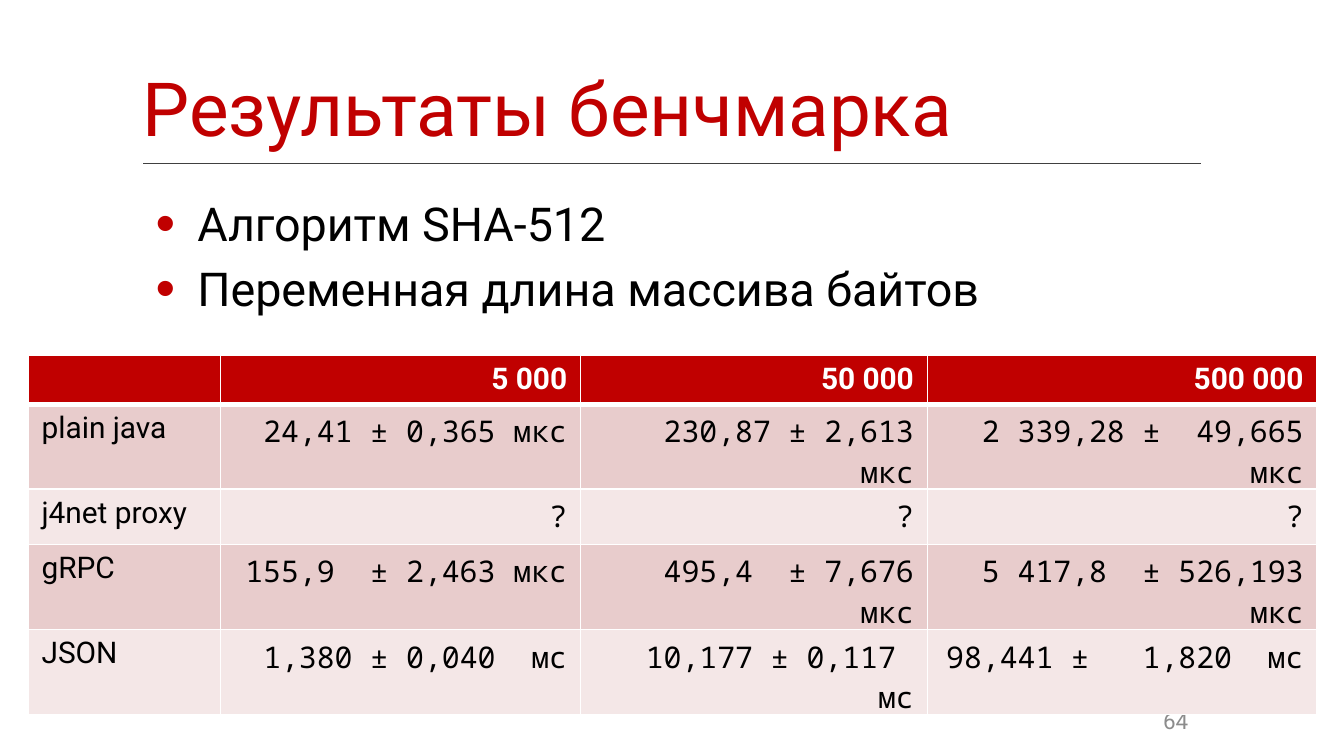
from dataclasses import dataclass

from lxml import etree
from pptx import Presentation
from pptx.dml.color import RGBColor
from pptx.enum.text import MSO_ANCHOR, PP_ALIGN
from pptx.oxml.ns import qn
from pptx.util import Inches, Pt

LEFT, RIGHT = PP_ALIGN.LEFT, PP_ALIGN.RIGHT
TOP, MIDDLE = MSO_ANCHOR.TOP, MSO_ANCHOR.MIDDLE


@dataclass(frozen=True)
class Theme:
    accent: str = "C00000"
    ink: str = "000000"
    rule: str = "404040"
    paper: str = "FFFFFF"
    muted: str = "8C8C8C"
    bands: tuple = ("E8CCCC", "F4E7E7")
    font: str = "Roboto"
    mono: str = "Noto Sans Mono"
    title_size: int = 40
    body_size: int = 25
    table_size: int = 16
    number_size: int = 12


class SlideBuilder:
    def __init__(self, slide, theme):
        self.slide = slide
        self.theme = theme

    def style(self, paragraph, size, color, font=None, bold=False, align=LEFT):
        paragraph.alignment = align
        for run in paragraph.runs:
            run.font.name = font or self.theme.font
            run.font.size = Pt(size)
            run.font.bold = bold
            run.font.color.rgb = RGBColor.from_string(color)
        if not paragraph.runs:
            etree.SubElement(paragraph._p, qn("a:endParaRPr"), sz=str(size * 100))

    def text_frame(self, left, top, width, height, anchor=TOP):
        box = self.slide.shapes.add_textbox(
            Inches(left), Inches(top), Inches(width), Inches(height))
        box.text_frame.word_wrap = True
        box.text_frame.vertical_anchor = anchor
        return box.text_frame

    def bullet(self, paragraph):
        properties = paragraph._p.get_or_add_pPr()
        properties.set("marL", str(Inches(0.31)))
        properties.set("indent", str(-Inches(0.31)))
        color = etree.SubElement(properties, qn("a:buClr"))
        etree.SubElement(color, qn("a:srgbClr"), val=self.theme.accent)
        etree.SubElement(properties, qn("a:buSzPct"), val="120000")
        etree.SubElement(properties, qn("a:buFont"), typeface="Arial")
        etree.SubElement(properties, qn("a:buChar"), char="•")

    def bullets(self, lines, left, top, width, height):
        text_frame = self.text_frame(left, top, width, height)
        text_frame.text = "\n".join(lines)
        for paragraph in text_frame.paragraphs:
            paragraph.space_before = Pt(5)
            self.style(paragraph, self.theme.body_size, self.theme.ink)
            self.bullet(paragraph)

    def slide_number(self, number, left, top, width, height):
        text_frame = self.text_frame(left, top, width, height, MIDDLE)
        text_frame.text = number
        self.style(text_frame.paragraphs[0], self.theme.number_size,
                   self.theme.muted, align=RIGHT)

    def borders(self, cell, bottom_color, bottom_width):
        properties = cell._tc.get_or_add_tcPr()
        for side in "LRTB":
            color, width = (bottom_color, bottom_width) if side == "B" else (self.theme.paper, 1)
            line = etree.SubElement(properties, qn(f"a:ln{side}"), w=str(Pt(width)))
            fill = etree.SubElement(line, qn("a:solidFill"))
            etree.SubElement(fill, qn("a:srgbClr"), val=color)

    def table(self, left, top, column_widths, row_heights):
        table = self.slide.shapes.add_table(
            len(row_heights), len(column_widths), Inches(left), Inches(top),
            Inches(sum(column_widths)), Inches(sum(row_heights))).table
        table.first_row = table.horz_banding = False
        for column, width in zip(table.columns, column_widths):
            column.width = Inches(width)
        for row, height in zip(table.rows, row_heights):
            row.height = Inches(height)
        return table

    def title(self, text, left, top, width, height):
        cell = self.table(left, top, [width], [height]).cell(0, 0)
        cell.margin_left = 0
        cell.text_frame.text = text
        self.style(cell.text_frame.paragraphs[0], self.theme.title_size, self.theme.accent)
        self.borders(cell, self.theme.rule, 0.5)
        cell.fill.background()

    def results(self, rows, left, top, column_widths, row_heights):
        theme = self.theme
        table = self.table(left, top, column_widths, row_heights)
        for row_index, row in enumerate(rows):
            header = row_index == 0
            fill = theme.accent if header else theme.bands[(row_index - 1) % 2]
            for column_index, text in enumerate(row):
                label = column_index == 0
                cell = table.cell(row_index, column_index)
                cell.text_frame.text = text
                self.style(cell.text_frame.paragraphs[0], theme.table_size,
                           theme.paper if header else theme.ink,
                           font=theme.font if header or label else theme.mono,
                           bold=header, align=LEFT if label else RIGHT)
                self.borders(cell, theme.paper, 3 if header else 1)
                cell.fill.solid()
                cell.fill.fore_color.rgb = RGBColor.from_string(fill)


RESULTS = [
    ["", "5 000", "50 000", "500 000"],
    ["plain java", "24,41 ± 0,365 мкс", "230,87 ± 2,613 мкс", "2 339,28 ±  49,665 мкс"],
    ["j4net proxy", "?", "?", "?"],
    ["gRPC", "155,9  ± 2,463 мкс", "495,4  ± 7,676 мкс", "5 417,8  ± 526,193 мкс"],
    ["JSON", "1,380 ± 0,040  мс", "10,177 ± 0,117  мс", "98,441 ±   1,820  мс"],
]


def main():
    presentation = Presentation()
    presentation.slide_width = Inches(10)
    presentation.slide_height = presentation.slide_width * 9 // 16
    slide = presentation.slides.add_slide(presentation.slide_layouts[6])
    builder = SlideBuilder(slide, Theme())
    builder.title("Результаты бенчмарка", 1.06, 0.45, 7.88, 0.77)
    builder.bullets(["Алгоритм SHA-512", "Переменная длина массива байтов"],
                    1.06, 1.4, 7.88, 3.23)
    builder.slide_number("64", 7.17, 5.21, 1.77, 0.3)
    builder.results(RESULTS, 0.21, 2.64, [1.43, 2.68, 2.58, 2.9], [0.35] + [0.41] * 4)
    presentation.save("out.pptx")


if __name__ == "__main__":
    main()
